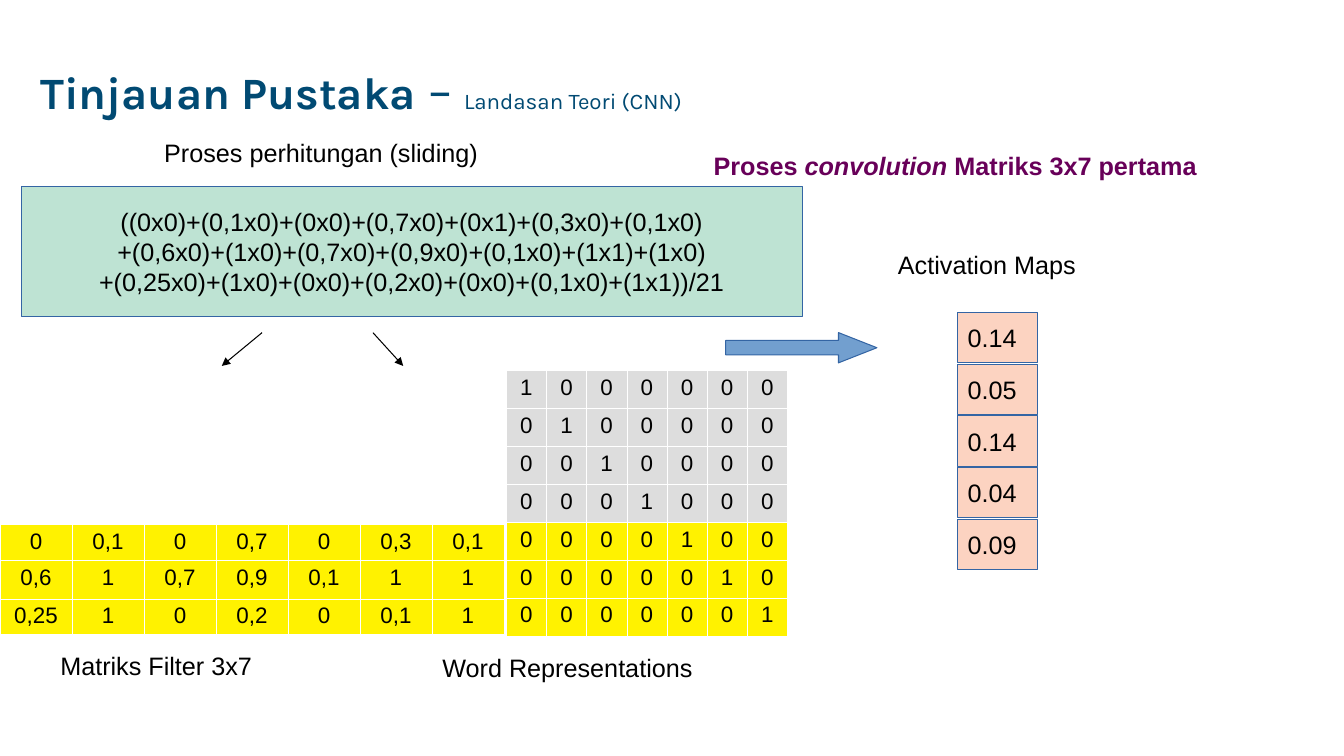
"""Builds a slide on the convolution of a 3x7 matrix in a CNN."""
from lxml.etree import SubElement
from pptx import Presentation
from pptx.dml.color import RGBColor
from pptx.enum.shapes import MSO_CONNECTOR, MSO_SHAPE
from pptx.enum.text import MSO_ANCHOR, MSO_AUTO_SIZE, PP_ALIGN
from pptx.oxml.ns import qn
from pptx.util import Pt

COLORS = {
    "title": "014A73", "heading": "680059", "text": "000000",
    "border": "FFFFFF", "outline": "3465A4", "formula": "BEE3D3",
    "arrow": "729FCF", "result": "FCD3C1",
    "active": "FFF200", "idle": "DDDDDD",
}

FORMULA = """((0x0)+(0,1x0)+(0x0)+(0,7x0)+(0x1)+(0,3x0)+(0,1x0)
+(0,6x0)+(1x0)+(0,7x0)+(0,9x0)+(0,1x0)+(1x1)+(1x0)
+(0,25x0)+(1x0)+(0x0)+(0,2x0)+(0x0)+(0,1x0)+(1x1))/21"""

FILTER = [
    ["0", "0,1", "0", "0,7", "0", "0,3", "0,1"],
    ["0,6", "1", "0,7", "0,9", "0,1", "1", "1"],
    ["0,25", "1", "0", "0,2", "0", "0,1", "1"],
]

LABELS = [
    ("Proses perhitungan (sliding)", 110.2, 94.3, 318),
    ("Activation Maps", 634.3, 174.2, 168),
    ("Matriks Filter 3x7", 36, 460.8, 181),
    ("Word Representations", 308.9, 462.2, 243),
]

RESULTS = ["0.14", "0.05", "0.14", "0.04", "0.09"]


def color(name):
    """Return the named colour."""
    return RGBColor.from_string(COLORS[name])


def style(font, size, tone="text", family="Arial", bold=False, italic=False):
    """Format a font."""
    font.name, font.size = family, Pt(size)
    font.bold, font.italic = bold, italic
    font.color.rgb = color(tone)


def add_title(page):
    """Fill and place the title placeholder."""
    title = page.shapes.title
    title.left, title.top, title.width, title.height = Pt(21.6), Pt(14.4), Pt(540), Pt(104.4)
    frame = title.text_frame
    frame.word_wrap = True
    frame.auto_size = MSO_AUTO_SIZE.NONE
    frame.vertical_anchor = MSO_ANCHOR.MIDDLE
    para = frame.paragraphs[0]
    para.alignment, para.line_spacing = PP_ALIGN.LEFT, 0.9
    parts = [("Tinjauan Pustaka", 32, True), (" – ", 36, False), ("Landasan Teori (CNN)", 16, False)]
    for text, size, bold in parts:
        span = para.add_run()
        span.text = text
        style(span.font, size, "title", "Karla", bold)


def add_label(page, text, left, top, width):
    """Add a plain caption."""
    box = page.shapes.add_textbox(Pt(left), Pt(top), Pt(width), Pt(27.4))
    box.text_frame.word_wrap = True
    box.text_frame.text = text
    style(box.text_frame.paragraphs[0].runs[0].font, 18)


def add_heading(page):
    """Add the bold heading with one italic word."""
    box = page.shapes.add_textbox(Pt(502.6), Pt(103.7), Pt(442.8), Pt(47.5))
    box.text_frame.word_wrap = True
    para = box.text_frame.paragraphs[0]
    for text, italic in [("Proses ", False), ("convolution", True), (" Matriks 3x7 pertama", False)]:
        span = para.add_run()
        span.text = text
        style(span.font, 18, "heading", bold=True, italic=italic)


def add_block(page, kind, left, top, width, height, fill):
    """Add an outlined, filled shape."""
    block = page.shapes.add_shape(kind, Pt(left), Pt(top), Pt(width), Pt(height))
    block.shadow.inherit = False
    block.fill.solid()
    block.fill.fore_color.rgb = color(fill)
    block.line.color.rgb = color("outline")
    block.line.width = Pt(0.75)
    return block


def add_text_block(page, text, left, top, width, height, fill, alignment):
    """Add a rectangle that holds text."""
    block = add_block(page, MSO_SHAPE.RECTANGLE, left, top, width, height, fill)
    frame = block.text_frame
    frame.word_wrap = True
    frame.vertical_anchor = MSO_ANCHOR.MIDDLE
    frame.text = text
    for para in frame.paragraphs:
        para.alignment = alignment
        style(para.runs[0].font, 18)


def add_pointer(page, start, end):
    """Add a thin line with an arrowhead at its end."""
    line = page.shapes.add_connector(MSO_CONNECTOR.STRAIGHT, *map(Pt, start + end))
    line.line.color.rgb = color("text")
    line.line.width = Pt(0.75)
    properties = line._element.spPr
    SubElement(properties.find(qn("a:ln")), qn("a:tailEnd"), type="triangle")
    SubElement(properties, qn("a:effectLst"))


def set_borders(cell):
    """Give a cell hairline borders."""
    properties = cell._tc.get_or_add_tcPr()
    for side in ("lnL", "lnR", "lnT", "lnB"):
        line = SubElement(properties, qn(f"a:{side}"), w=str(Pt(0.06)))
        fill = SubElement(line, qn("a:solidFill"))
        SubElement(fill, qn("a:srgbClr"), val=COLORS["border"])


def add_matrix(page, values, left, top, column_width, row_heights, fills):
    """Add a matrix as a table with one fill per row."""
    rows, columns = len(values), len(values[0])
    frame = page.shapes.add_table(rows, columns, Pt(left), Pt(top),
                                  Pt(column_width * columns), Pt(sum(row_heights)))
    table = frame.table
    table.first_row = table.horz_banding = False
    for column in table.columns:
        column.width = Pt(column_width)
    for row, height, fill, texts in zip(table.rows, row_heights, fills, values):
        row.height = Pt(height)
        for cell, text in zip(row.cells, texts):
            set_borders(cell)
            cell.fill.solid()
            cell.fill.fore_color.rgb = color(fill)
            cell.text = text
            para = cell.text_frame.paragraphs[0]
            para.alignment = PP_ALIGN.CENTER
            style(para.runs[0].font, 16)


def main():
    """Build and save the slide."""
    deck = Presentation()
    deck.slide_width, deck.slide_height = Pt(960), Pt(540)
    page = deck.slides.add_slide(deck.slide_layouts[5])
    add_title(page)

    identity = [["1" if row == column else "0" for column in range(7)] for row in range(7)]
    add_matrix(page, identity, 361.6, 264.4, 28.7, [27.1] * 7, ["idle"] * 4 + ["active"] * 3)
    add_matrix(page, FILTER, 0, 374.4, 51.43, [25.6, 27.6, 25.6], ["active"] * 3)

    add_text_block(page, FORMULA, 15.1, 133.2, 558, 92.9, "formula", PP_ALIGN.CENTER)
    arrow = add_block(page, MSO_SHAPE.RIGHT_ARROW, 518.4, 237.6, 108, 21.6, "arrow")
    arrow.adjustments[0], arrow.adjustments[1] = 0.48, 1.27
    for index, result in enumerate(RESULTS):
        add_text_block(page, result, 684, 223.2 + 36.9 * index, 57, 36, "result", PP_ALIGN.LEFT)

    for label in LABELS:
        add_label(page, *label)
    add_heading(page)
    add_pointer(page, (187.2, 237.6), (158.4, 261.4))
    add_pointer(page, (266.4, 237.6), (288, 261.4))
    deck.save("out.pptx")


if __name__ == "__main__":
    main()
